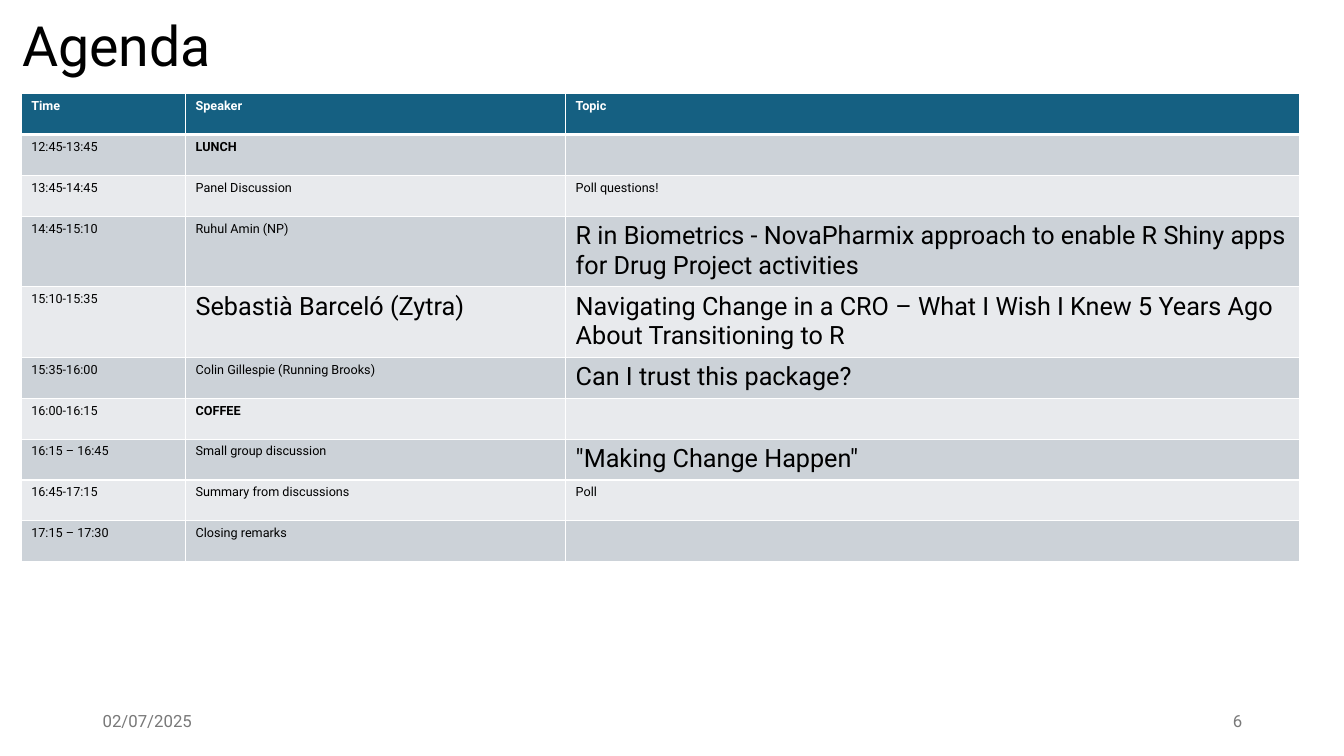
from lxml import etree
from pptx import Presentation
from pptx import util as u
from pptx.dml.color import RGBColor
from pptx.enum import text
from pptx.oxml import ns

COLOURS = {"header": "156082", "odd": "CCD2D8", "even": "E8EAED",
           "white": "FFFFFF", "black": "000000", "footer": "797979"}
FONT = "Roboto"
SMALL, LARGE = 9, 18
COLUMN_SHARES = [12.23, 28.28, 54.61]
ROWS_PER_SLIDE = 18.5

AGENDA = [
    ("Time", "Speaker", "Topic"),
    ("12:45-13:45", "LUNCH", ""),
    ("13:45-14:45", "Panel Discussion", "Poll questions!"),
    ("14:45-15:10", "Ruhul Amin (NP)",
     "R in Biometrics - NovaPharmix approach to enable R Shiny apps for Drug Project activities"),
    ("15:10-15:35", "Sebastià Barceló (Zytra)",
     "Navigating Change in a CRO – What I Wish I Knew 5 Years Ago About Transitioning to R"),
    ("15:35-16:00", "Colin Gillespie (Running Brooks)", "Can I trust this package?"),
    ("16:00-16:15", "COFFEE", ""),
    ("16:15 – 16:45", "Small group discussion", '"Making Change Happen"'),
    ("16:45-17:15", "Summary from discussions", "Poll"),
    ("17:15 – 17:30", "Closing remarks", ""),
]
LARGE_CELLS = {(3, 2), (4, 1), (4, 2), (5, 2), (7, 2)}
BREAKS = {"LUNCH", "COFFEE"}

deck = Presentation()
deck.slide_width, deck.slide_height = u.Inches(13.33), u.Inches(7.5)
page = deck.slides.add_slide(deck.slide_layouts[5])


def share(left, top, width, height):
    return [int(size * part / 100) for size, part in zip(
        (deck.slide_width, deck.slide_height) * 2, (left, top, width, height))]


def write(frame, words, size, colour, bold=False):
    frame.text = words
    para = frame.paragraphs[0]
    for span in para.runs:
        span.font.name = FONT
        span.font.size = u.Pt(size)
        span.font.bold = bold
        span.font.color.rgb = RGBColor.from_string(COLOURS[colour])
    return para


title = page.shapes.title
title.left, title.top, title.width, title.height = share(0.9, 2, 17.18, 8.93)
title.text_frame.vertical_anchor = text.MSO_ANCHOR.MIDDLE
heading = write(title.text_frame, "Agenda", 39.6, "black")
heading.alignment = text.PP_ALIGN.LEFT
heading.line_spacing = 0.9

for words, left, align in [("02/07/2025", 6.9, text.PP_ALIGN.LEFT),
                           ("6", 70.67, text.PP_ALIGN.RIGHT)]:
    box = page.shapes.add_textbox(*share(left, 92.67, 22.5, 5.33))
    box.text_frame.word_wrap = True
    box.text_frame.vertical_anchor = text.MSO_ANCHOR.MIDDLE
    write(box.text_frame, words, 12, "footer").alignment = align

row_height = int(deck.slide_height / ROWS_PER_SLIDE)
frame = page.shapes.add_table(
    len(AGENDA), len(COLUMN_SHARES),
    *share(1.58, 12.4, sum(COLUMN_SHARES), 100 * len(AGENDA) / ROWS_PER_SLIDE))
table = frame.table
for column, part in zip(table.columns, COLUMN_SHARES):
    column.width = int(deck.slide_width * part / 100)

for r, entries in enumerate(AGENDA):
    table.rows[r].height = row_height
    is_header = r == 0
    fill = "header" if is_header else "odd" if r % 2 else "even"
    for c, words in enumerate(entries):
        cell = table.cell(r, c)
        write(cell.text_frame, words, LARGE if (r, c) in LARGE_CELLS else SMALL,
              "white" if is_header else "black", is_header or words in BREAKS)
        properties = cell._tc.get_or_add_tcPr()
        for side in ("lnL", "lnR", "lnT", "lnB"):
            thick = (r, side) in {(0, "lnB"), (1, "lnT")}
            line = etree.SubElement(properties, ns.qn("a:" + side), w=str(u.Pt(3 if thick else 1)))
            solid = etree.SubElement(line, ns.qn("a:solidFill"))
            etree.SubElement(solid, ns.qn("a:srgbClr"), val=COLOURS["white"])
        cell.fill.solid()
        cell.fill.fore_color.rgb = RGBColor.from_string(COLOURS[fill])

deck.save("out.pptx")
